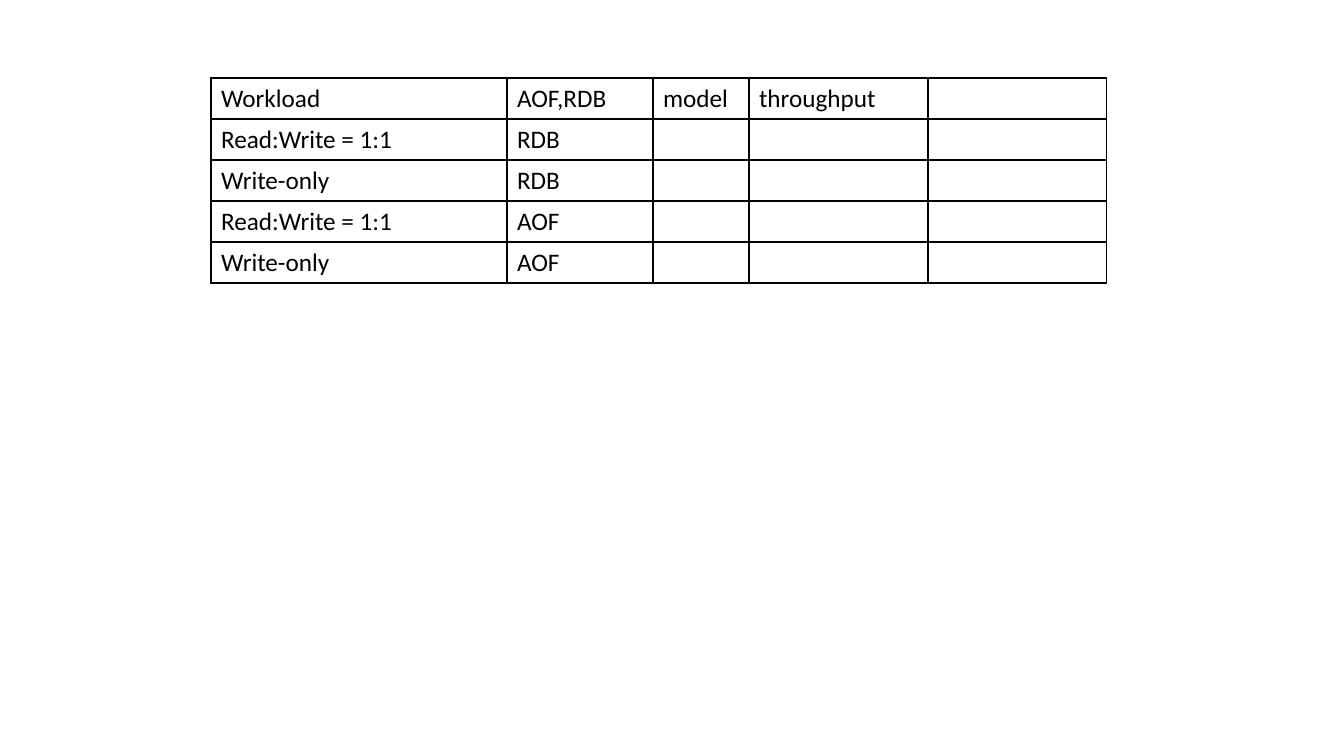
from lxml import etree
from pptx import Presentation
from pptx.dml.color import RGBColor
from pptx.enum.text import MSO_ANCHOR
from pptx.oxml.ns import qn
from pptx.util import Pt

TOP_ANCHOR = MSO_ANCHOR.TOP
BLACK = RGBColor(0x00, 0x00, 0x00)
FONT = "Calibri"
TEXT_SIZE = Pt(18)
BORDER_WIDTH = Pt(1)

# Content
HEADINGS = ["Workload", "AOF,RDB", "model", "throughput", ""]
RUNS = [
    (workload, persistence, "", "", "")
    for persistence in ("RDB", "AOF")
    for workload in ("Read:Write = 1:1", "Write-only")
]
ROWS = [HEADINGS, *RUNS]

# Layout in pixels
SLIDE_WIDTH, SLIDE_HEIGHT = 1344, 756
TABLE_LEFT, TABLE_TOP = 211, 78
COLUMN_WIDTHS = [296, 146, 96, 179, 179]
ROW_HEIGHT = 41


def px(pixels):
    return round(pixels * 914400 / 100.8)


def add_borders(cell):
    properties = cell._tc.get_or_add_tcPr()
    for side in ("a:lnL", "a:lnR", "a:lnT", "a:lnB"):
        line = etree.SubElement(properties, qn(side), w=str(BORDER_WIDTH))
        fill = etree.SubElement(line, qn("a:solidFill"))
        etree.SubElement(fill, qn("a:srgbClr"), val=str(BLACK))


def fill_cell(cell, text):
    add_borders(cell)
    cell.fill.background()
    cell.vertical_anchor = TOP_ANCHOR
    paragraph = cell.text_frame.paragraphs[0]
    paragraph.font.size = TEXT_SIZE
    if text:
        run = paragraph.add_run()
        run.text = text
        run.font.name = FONT
        run.font.size = TEXT_SIZE
        run.font.bold = False
        run.font.color.rgb = BLACK


presentation = Presentation()
presentation.slide_width = px(SLIDE_WIDTH)
presentation.slide_height = px(SLIDE_HEIGHT)
slide = presentation.slides.add_slide(presentation.slide_layouts[6])

# Workload table
workloads = slide.shapes.add_table(
    len(ROWS), len(COLUMN_WIDTHS),
    px(TABLE_LEFT), px(TABLE_TOP),
    px(sum(COLUMN_WIDTHS)), px(ROW_HEIGHT * len(ROWS)),
).table
workloads.first_row = False
workloads.horz_banding = False

for column, width in zip(workloads.columns, COLUMN_WIDTHS):
    column.width = px(width)
for row, texts in zip(workloads.rows, ROWS):
    row.height = px(ROW_HEIGHT)
    for cell, text in zip(row.cells, texts):
        fill_cell(cell, text)

presentation.save("out.pptx")
